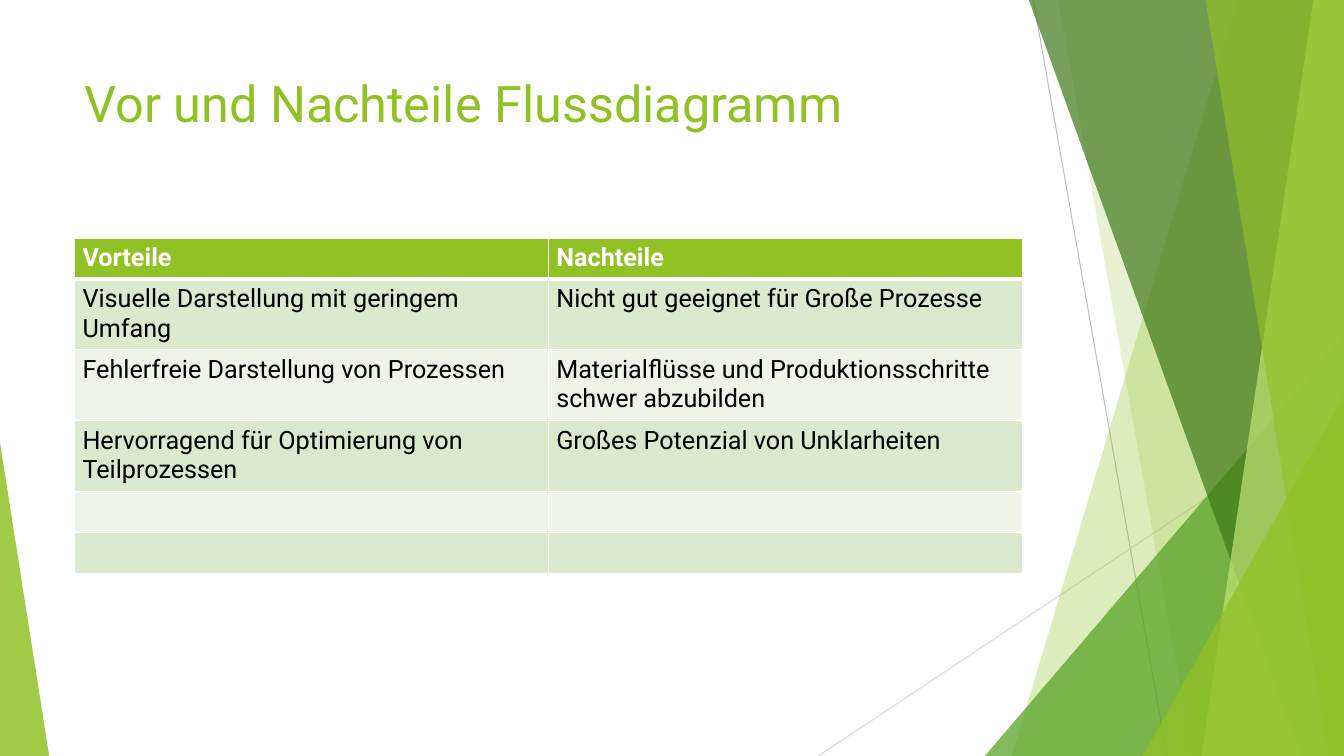
from lxml import etree
from pptx import Presentation
from pptx.dml import color
from pptx.enum import shapes, text
from pptx.oxml import ns
from pptx.util import Cm, Pt

WIDE, HIGH = 33.87, 19.05
LIME, LEAF, MOSS, PALE = "90C226", "54A021", "3F7819", "C0E474"
WHITE, BLACK = "FFFFFF", "000000"


def paint(part, tone, alpha=100):
    """Give a fill, font or line format a solid colour, with opacity in percent."""
    part.fill.solid()
    part.fill.fore_color.rgb = color.RGBColor.from_string(tone)
    if alpha < 100:
        node = part.fill._xPr.find(".//" + ns.qn("a:srgbClr"))
        etree.SubElement(node, ns.qn("a:alpha"), val=str(alpha * 1000))


def write(frame, words, size, tone, bold=False):
    """Add one styled run to the first paragraph of a text frame."""
    run = frame.paragraphs[0].add_run()
    run.text = words
    run.font.name = "Roboto"
    run.font.size = Pt(size)
    run.font.bold = bold
    paint(run.font, tone)


deck = Presentation()
deck.slide_width, deck.slide_height = Cm(WIDE), Cm(HIGH)
slide = deck.slides.add_slide(deck.slide_layouts[6])
items = slide.shapes

# Thin lines behind the facets
for x1, y1, x2, y2, tone in [
    (26.04, 0, 29.41, HIGH, "BFBFBF"),
    (WIDE, 10.24, 20.62, HIGH, "D9D9D9"),
]:
    line = items.add_connector(
        shapes.MSO_CONNECTOR.STRAIGHT, Cm(x1), Cm(y1), Cm(x2), Cm(y2))
    paint(line.line, tone)
    line.line.width = Pt(0.75)
    etree.SubElement(line._element.spPr, ns.qn("a:effectLst"))

# Bands reach the right edge: top x, foot x.
# Triangles stand on the bottom edge: left, width, height, apex.
facets = [
    ("band", (31.19, 25.5), LIME, 30),
    ("band", (26.67, 30.05), LIME, 20),
    ("triangle", (24.82, 9.05, 10.59, 1), LEAF, 72),
    ("band", (25.93, 32.79), MOSS, 70),
    ("band", (33.1, 30.28), PALE, 70),
    ("band", (30.38, 33.48), LIME, 65),
    ("triangle", (28.8, 5.07, 9.07, 1), LIME, 80),
    ("triangle", (0, 1.24, 7.9, 0), LIME, 85),
]
for kind, size, tone, alpha in facets:
    if kind == "band":
        top, foot = size
        path = items.build_freeform(Cm(top), 0)
        path.add_line_segments(
            [(Cm(x), Cm(y)) for x, y in [(WIDE, 0), (WIDE, HIGH), (foot, HIGH)]])
        facet = path.convert_to_shape()
    else:
        left, width, height, apex = size
        facet = items.add_shape(
            shapes.MSO_SHAPE.ISOSCELES_TRIANGLE,
            Cm(left), Cm(HIGH - height), Cm(width), Cm(height))
        facet.adjustments[0] = apex
    facet.shadow.inherit = False
    facet.line.fill.background()
    paint(facet, tone, alpha)

title = items.add_textbox(Cm(1.88), Cm(1.7), Cm(23.88), Cm(3.66)).text_frame
title.word_wrap = True
title.vertical_anchor = text.MSO_ANCHOR.TOP
write(title, "Vor und Nachteile Flussdiagramm", 36, LIME)

rows = [
    ("Vorteile", "Nachteile"),
    ("Visuelle Darstellung mit geringem Umfang",
     "Nicht gut geeignet für Große Prozesse"),
    ("Fehlerfreie Darstellung von Prozessen",
     "Materialflüsse und Produktionsschritte schwer abzubilden"),
    ("Hervorragend für Optimierung von Teilprozessen",
     "Großes Potenzial von Unklarheiten"),
    ("", ""),
    ("", ""),
]
table = items.add_table(
    len(rows), 2, Cm(1.88), Cm(6), Cm(23.88), Cm(1.03 * len(rows))).table
for r, row in enumerate(rows):
    head = r == 0
    for c, words in enumerate(row):
        cell = table.cell(r, c)
        cell.margin_left = cell.margin_right = Cm(0.2)
        cell.margin_top = cell.margin_bottom = Cm(0.13)
        paint(cell, LIME if head else ("EEF4E8", "DBE9CD")[r % 2])
        if words:
            write(cell.text_frame, words, 18, WHITE if head else BLACK, head)
        # Borders come before the fill; the header's lower rule is thicker
        props = cell._tc.get_or_add_tcPr()
        for n, side in enumerate("LRTB"):
            thick = (r, side) in [(0, "B"), (1, "T")]
            edge = etree.Element(
                ns.qn("a:ln" + side), w=str(Pt(3 if thick else 1)))
            fill = etree.SubElement(edge, ns.qn("a:solidFill"))
            etree.SubElement(fill, ns.qn("a:srgbClr"), val=WHITE)
            props.insert(n, edge)

deck.save("out.pptx")
